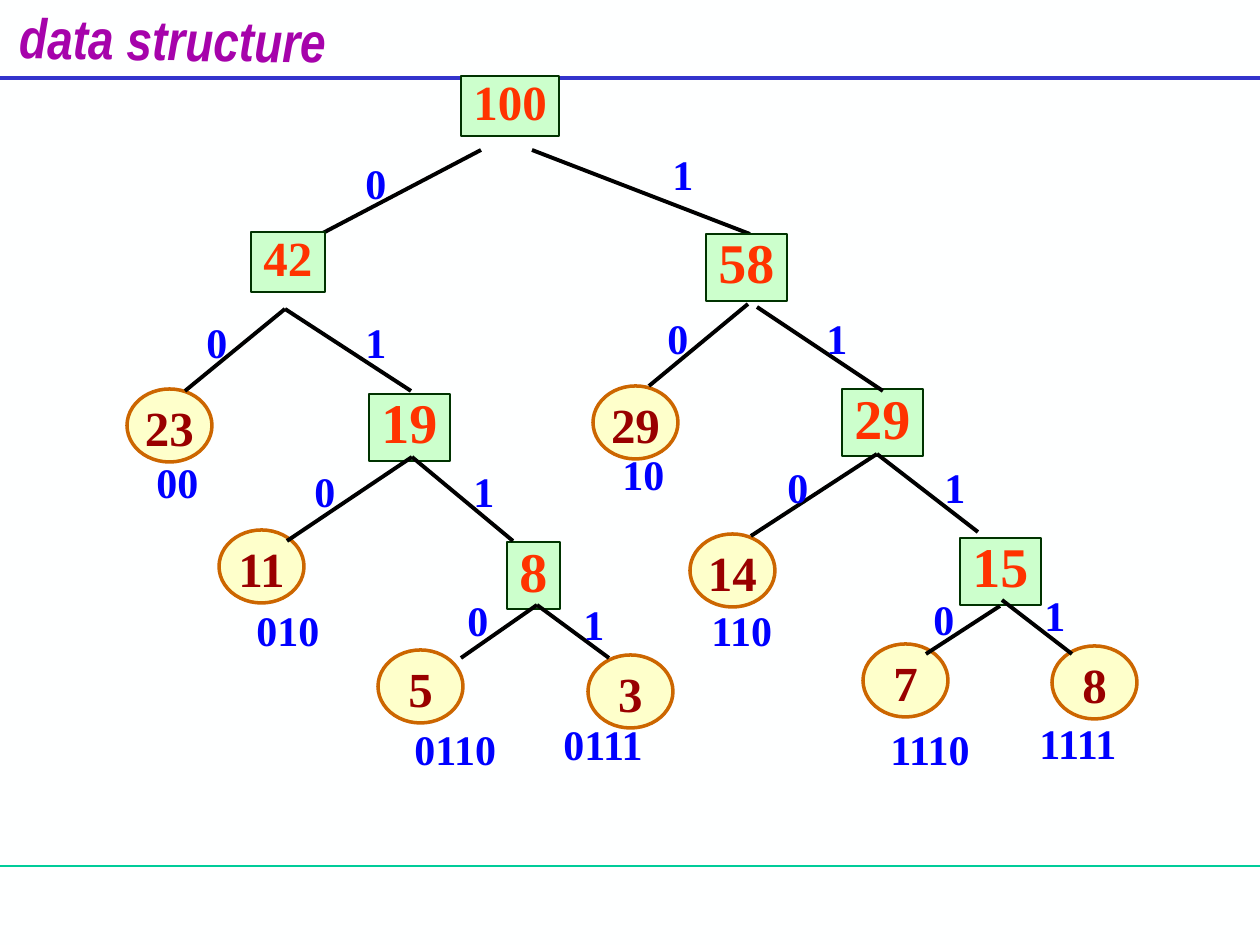
from lxml.etree import SubElement
from pptx import Presentation
from pptx.dml.color import RGBColor
from pptx.enum.shapes import MSO_CONNECTOR, MSO_SHAPE
from pptx.enum.text import MSO_ANCHOR, PP_ALIGN
from pptx.oxml.ns import qn
from pptx.util import Pt

PX = 914400 // 126
COLORS = {
    "background": "FEFFFF", "title": "A603AB", "header": "3333CC", "footer": "00CC99",
    "leaf": "FFFF99", "leaf_line": "CC6600", "leaf_text": "990000",
    "branch": "CCFFCC", "branch_line": "003300", "branch_text": "FF3300",
    "edge": "000000", "code": "0000FF",
}


def add_line(x1, y1, x2, y2, color, width=2.25):
    line = page.shapes.add_connector(
        MSO_CONNECTOR.STRAIGHT, x1 * PX, y1 * PX, x2 * PX, y2 * PX)
    line.line.color.rgb = RGBColor.from_string(COLORS[color])
    line.line.width = Pt(width)
    SubElement(line._element.spPr, qn("a:effectLst"))


def write(box, text, size, color, top, align=PP_ALIGN.LEFT, font="Times New Roman"):
    """Set one bold paragraph; top is the upper inset in px."""
    frame = box.text_frame
    frame.text = text
    frame.margin_top = top * PX
    frame.word_wrap = False
    paragraph = frame.paragraphs[0]
    paragraph.alignment = align
    span = paragraph.runs[0]
    span.font.name = font
    span.font.size = Pt(size)
    span.font.bold = True
    span.font.color.rgb = RGBColor.from_string(COLORS[color])
    return paragraph


deck = Presentation()
deck.slide_width, deck.slide_height = 1260 * PX, 945 * PX
page = deck.slides.add_slide(deck.slide_layouts[6])
page.background.fill.solid()
page.background.fill.fore_color.rgb = RGBColor.from_string(COLORS["background"])

# Header and footer
add_line(0, 866, 1260, 866, "footer", 0.75)
add_line(0, 78, 1260, 78, "header")
title = page.shapes.add_textbox(7 * PX, -1 * PX, 345 * PX, 68 * PX)
title.rotation = 0.8
heading = write(title, "data structure", 32, "title", 6, font="Arial Narrow")
heading.runs[0].font.italic = True

# Leaves: text, left, top
leaves = [
    ("11", 219, 530), ("5", 378, 650), ("29", 593, 386), ("7", 863, 644),
    ("8", 1052, 646), ("14", 690, 534), ("23", 127, 389), ("3", 588, 655),
]
for text, left, top in leaves:
    leaf = page.shapes.add_shape(MSO_SHAPE.OVAL, left * PX, top * PX, 85 * PX, 73 * PX)
    leaf.shadow.inherit = False
    leaf.fill.solid()
    leaf.fill.fore_color.rgb = RGBColor.from_string(COLORS["leaf"])
    fill_color = leaf._element.spPr.find(qn("a:solidFill"))[0]
    SubElement(fill_color, qn("a:alpha"), val="50000")
    leaf.line.color.rgb = RGBColor.from_string(COLORS["leaf_line"])
    leaf.line.width = Pt(2)
    leaf.text_frame.vertical_anchor = MSO_ANCHOR.MIDDLE
    write(leaf, text, 28, "leaf_text", 9, PP_ALIGN.CENTER)

# The root's edges run behind the branch boxes
for edge in [(481, 150, 302, 244), (532, 150, 750, 234)]:
    add_line(*edge, "edge")

# Branches: text, left, top, width, height, text size
branches = [
    ("100", 461, 76, 98, 60, 28), ("42", 251, 232, 74, 60, 28),
    ("58", 706, 234, 81, 67, 32), ("29", 842, 389, 81, 67, 32),
    ("19", 369, 394, 81, 67, 32), ("15", 960, 538, 81, 67, 32),
    ("8", 507, 542, 53, 67, 32),
]
for text, left, top, width, height, size in branches:
    branch = page.shapes.add_shape(
        MSO_SHAPE.RECTANGLE, left * PX, top * PX, width * PX, height * PX)
    branch.shadow.inherit = False
    branch.fill.solid()
    branch.fill.fore_color.rgb = RGBColor.from_string(COLORS["branch"])
    branch.line.color.rgb = RGBColor.from_string(COLORS["branch_line"])
    branch.line.width = Pt(0.75)
    branch.text_frame.vertical_anchor = MSO_ANCHOR.TOP
    write(branch, text, size, "branch_text", 7, PP_ALIGN.JUSTIFY).line_spacing = 0.8

lower_edges = [
    (877, 454, 978, 532), (1000, 606, 926, 654), (1002, 600, 1072, 654),
    (877, 454, 751, 536), (757, 307, 883, 391), (748, 304, 649, 386),
    (412, 457, 513, 541), (537, 605, 461, 658), (537, 605, 609, 658),
    (412, 457, 287, 541), (285, 309, 411, 391), (285, 309, 185, 391),
]
for edge in lower_edges:
    add_line(*edge, "edge")

# Edge bits and leaf codes: text, left, top, width
labels = [
    ("0", 353, 151, 69), ("1", 660, 142, 69), ("0", 655, 306, 45), ("0", 775, 455, 69),
    ("0", 921, 587, 45), ("1", 814, 306, 69), ("1", 932, 455, 69), ("1", 1032, 583, 69),
    ("0", 194, 310, 45), ("0", 302, 459, 45), ("0", 455, 588, 45), ("1", 461, 459, 69),
    ("1", 571, 592, 45), ("1", 353, 310, 45),
    ("00", 144, 450, 67), ("010", 244, 598, 88), ("0110", 402, 717, 108),
    ("0111", 551, 712, 108), ("1110", 878, 717, 108), ("1111", 1027, 711, 108),
    ("110", 699, 598, 88), ("10", 610, 442, 67),
]
for text, left, top, width in labels:
    label = page.shapes.add_textbox(left * PX, top * PX, width * PX, 63 * PX)
    write(label, text, 24, "code", 7)
    label.text_frame.margin_right = 0
    label.text_frame.word_wrap = True

deck.save("out.pptx")
